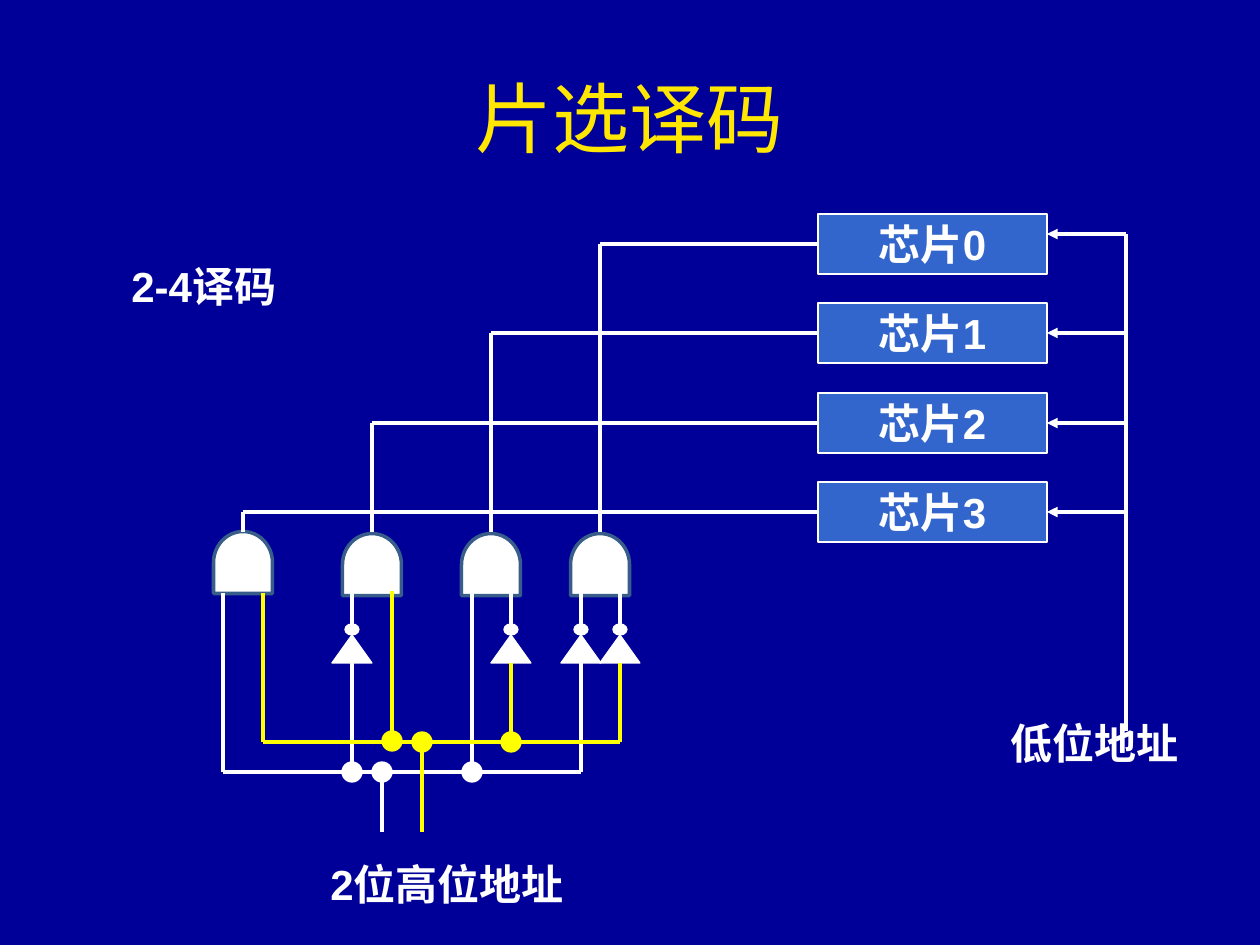
from lxml.etree import SubElement
from pptx import Presentation
from pptx.dml.color import RGBColor
from pptx.enum.shapes import MSO_CONNECTOR as CONNECTOR, MSO_SHAPE as SHAPE
from pptx.enum.text import MSO_ANCHOR as ANCHOR, PP_ALIGN as ALIGN
from pptx.oxml.ns import qn
from pptx.util import Pt

PX = 914400 / 126
NAVY = RGBColor(0x00, 0x00, 0x99)
BLUE = RGBColor(0x33, 0x66, 0xCC)
STEEL = RGBColor(0x38, 0x5D, 0x8A)
WHITE = RGBColor(0xFF, 0xFF, 0xFF)
YELLOW = RGBColor(0xFF, 0xFF, 0x00)
GOLD = RGBColor(0xFF, 0xE7, 0x01)

presentation = Presentation()
presentation.slide_width = round(1260 * PX)
presentation.slide_height = round(945 * PX)
slide = presentation.slides.add_slide(presentation.slide_layouts[6])
slide.background.fill.solid()
slide.background.fill.fore_color.rgb = NAVY
shapes = slide.shapes


def add_figure(kind, left, top, width, height, fill, outline=WHITE, weight=0.75):
    shape = shapes.add_shape(kind, *(round(n * PX) for n in (left, top, width, height)))
    shape.shadow.inherit = False
    shape.fill.solid()
    shape.fill.fore_color.rgb = fill
    shape.line.color.rgb = outline
    shape.line.width = Pt(weight)
    return shape


def add_text(shape, text, size=24, color=WHITE, bold=True, align=ALIGN.LEFT, anchor=ANCHOR.TOP):
    frame = shape.text_frame
    frame.word_wrap = True
    frame.vertical_anchor = anchor
    paragraph = frame.paragraphs[0]
    paragraph.alignment = align
    run = paragraph.add_run()
    run.text = text
    run.font.name = "Arial"
    run.font.size = Pt(size)
    run.font.bold = bold
    run.font.color.rgb = color


title = shapes.add_textbox(*(round(n * PX) for n in (63, 38, 1134, 157)))
add_text(title, "片选译码", 44, GOLD, False, ALIGN.CENTER, ANCHOR.MIDDLE)

gate_centers = [243, 372, 491, 600]
for center in gate_centers:
    top = 533 if center == gate_centers[0] else 535
    gate = add_figure(SHAPE.FLOWCHART_DELAY, center - 31, top, 62, 59, WHITE, STEEL, 2)
    gate.rotation = 270

inverter_centers = [352, 511, 581, 620]
for center in inverter_centers:
    add_figure(SHAPE.ISOSCELES_TRIANGLE, center - 20, 635, 40, 28, WHITE)
    add_figure(SHAPE.OVAL, center - 7, 624, 14, 11, WHITE)

white_wires = [
    (382, 832, 382, 772),
    (223, 772, 581, 772),
    (223, 772, 223, 593),
    (472, 772, 472, 593),
    (352, 772, 352, 663),
    (581, 772, 581, 663),
    (1126, 234, 1126, 731),
]
white_wires += [(center, 624, center, 593) for center in inverter_centers]
arrows = []
for index, center in enumerate(reversed(gate_centers)):
    top = 214 + 179 * index // 2
    middle = top + 30
    chip = add_figure(SHAPE.RECTANGLE, 818, top, 229, 60, BLUE)
    add_text(chip, f"芯片{index}", align=ALIGN.CENTER, anchor=ANCHOR.MIDDLE)
    white_wires += [(center, 532, center, middle), (center, middle, 818, middle)]
    arrow_y = 234 if index == 0 else middle
    arrows.append((1126, arrow_y, 1047, arrow_y))

yellow_wires = [
    (422, 832, 422, 742),
    (263, 742, 620, 742),
    (263, 742, 263, 593),
    (392, 741, 392, 591),
    (511, 742, 511, 663),
    (620, 742, 620, 663),
]

for wires, color, pointed in (
    (white_wires, WHITE, False),
    (arrows, WHITE, True),
    (yellow_wires, YELLOW, False),
):
    for ends in wires:
        wire = shapes.add_connector(CONNECTOR.STRAIGHT, *(round(n * PX) for n in ends))
        wire.line.color.rgb = color
        wire.line.width = Pt(2)
        properties = wire._element.spPr
        if pointed:
            SubElement(properties.find(qn("a:ln")), qn("a:tailEnd"), type="triangle")
        SubElement(properties, qn("a:effectLst"))

for x, y, color in (
    (352, 772, WHITE),
    (382, 772, WHITE),
    (472, 772, WHITE),
    (392, 741, YELLOW),
    (422, 742, YELLOW),
    (511, 742, YELLOW),
):
    add_figure(SHAPE.OVAL, x - 10, y - 10, 20, 20, color, color)

for text, left, top, width in (
    ("2-4译码", 119, 254, 200),
    ("2位高位地址", 318, 852, 300),
    ("低位地址", 998, 711, 210),
):
    label = shapes.add_textbox(*(round(n * PX) for n in (left, top, width, 63)))
    add_text(label, text)

presentation.save("out.pptx")
